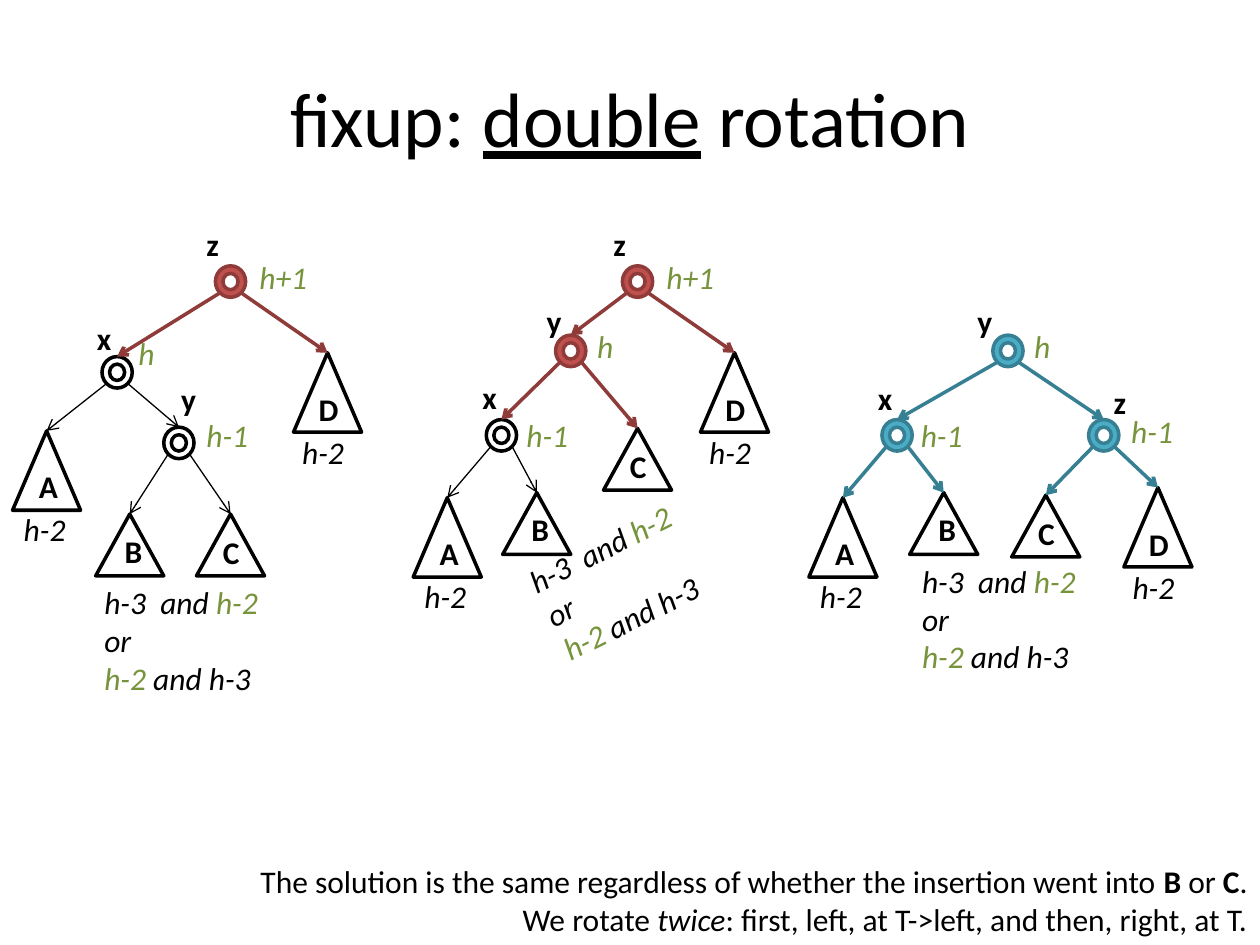
"""Build the slide that shows a double rotation as three binary trees."""
from dataclasses import dataclass

from lxml import etree
from pptx import Presentation
from pptx import util as u
from pptx.dml.color import RGBColor
from pptx.enum import shapes, text
from pptx.oxml.ns import qn


@dataclass(frozen=True)
class Theme:
    font: str = "Calibri"
    title: int = 44
    body: int = 18
    ink: str = "000000"
    height: str = "77933C"
    bold_line: float = 2
    thin_line: float = 0.75


THEME = Theme()
COLUMNS, ROWS = 100, 75
STYLES = {
    "red": ("C0504D", "8E3B39", THEME.bold_line),
    "teal": ("4BACC6", "377F92", THEME.bold_line),
    "plain": ("FFFFFF", "000000", THEME.thin_line),
}
NODE_SIZE = (2.4, 2.5)
LEAF_WIDTH = 5.4
LEAVES = {
    "A": dict(height=6.3, letter=(1.1, 2.4), below=(-0.1, 5.8)),
    "B": dict(height=4.9, letter=(1.3, 0.9), below=None),
    "C": dict(height=4.9, letter=(1.1, 1), below=None),
    "D": dict(height=6.3, letter=(1, 2.5), below=(-0.3, 5.9)),
}
LABEL_WIDTHS = {"h+1": 5.9, "h": 3.3, "h-1": 5.4, "h-2": 6, "x": 3.3, "y": 3.3,
                "z": 3, "A": 3.6, "B": 3.4, "C": 3.4, "D": 3.6}

# node: position, style, children, name offset, height, height offset
TREES = [
    dict(nodes={
            "z": ((17.1, 21.1), "red", "xD", (-1.7, -3.7), "h+1", (2.5, -1.1)),
            "x": ((8.1, 28.3), "plain", "Ay", (-1.4, -3.5), "h", (1.9, -2.3)),
            "y": ((13, 33.9), "plain", "BC", (0.4, -4.2), "h-1", (2.4, -1.4))},
         leaves={"A": (1, 34.2), "B": (7.6, 40.8), "C": (15.6, 40.8), "D": (23.3, 28)},
         cases=(7.3, 45.8), tilt=0),
    dict(nodes={
            "z": ((49.4, 21.1), "red", "yD", (-1.7, -3.7), "h+1", (2.5, -1.1)),
            "y": ((44.1, 26.6), "red", "xC", (-1.7, -3.1), "h", (2.3, -1.1)),
            "x": ((38.6, 33.3), "plain", "AB", (-1.3, -3.8), "h-1", (2.2, -0.8))},
         leaves={"A": (32.8, 39.5), "B": (39.9, 39.1), "C": (47.9, 34), "D": (55.6, 28)},
         cases=(41.9, 41.2), tilt=333.4),
    dict(nodes={
            "y": ((78.8, 26.6), "teal", "xz", (-2.2, -3.1), "h", (2.3, -1.1)),
            "x": ((70, 33.3), "teal", "AB", (-1.3, -3.7), "h-1", (2.1, -0.8)),
            "z": ((86.4, 33.3), "teal", "CD", (1, -3.4), "h-1", (2.4, -1.1))},
         leaves={"A": (64.2, 39.5), "B": (72.2, 39.1), "C": (80.3, 39.3), "D": (89.2, 38.7)},
         cases=(72.2, 44.1), tilt=0),
]
TITLE = [[("fixup: ", ""), ("double", "u"), (" rotation", "")]]
CASES = [
    [("h-3  and ", "i"), ("h-2", "ih")],
    [("or", "i")],
    [("h-2", "ih"), (" and h-3", "i")],
]
FOOTER = [
    [("The solution is the same regardless of whether the insertion went into ", ""),
     ("B", "b"), (" or ", ""), ("C", "b"), (".", "")],
    [("We rotate ", ""), ("twice", "i"),
     (": first, left, at T->left, and then, right, at T.", "")],
]

prs = Presentation()
prs.slide_width, prs.slide_height = u.Inches(10), u.Inches(7.5)
s = prs.slides.add_slide(prs.slide_layouts[6])


def grid(x, y):
    """Turn a column and a row into slide lengths."""
    return round(prs.slide_width * x / COLUMNS), round(prs.slide_height * y / ROWS)


def shift(at, offset):
    """Move a grid position by an offset."""
    return at[0] + offset[0], at[1] + offset[1]


def add_text(paragraphs, at, size, pt=THEME.body, align=text.PP_ALIGN.LEFT,
             anchor=text.MSO_ANCHOR.TOP, wrap=False, tilt=0):
    """Add a text box; run flags are b, i, u, and h for the height colour."""
    box = s.shapes.add_textbox(*grid(*at), *grid(*size))
    box.rotation = tilt
    tf = box.text_frame
    tf.word_wrap, tf.vertical_anchor = wrap, anchor
    for i, runs in enumerate(paragraphs):
        p = tf.add_paragraph() if i else tf.paragraphs[0]
        p.alignment = align
        for words, flags in runs:
            r = p.add_run()
            r.text = words
            r.font.name, r.font.size = THEME.font, u.Pt(pt)
            r.font.bold, r.font.italic, r.font.underline = (f in flags for f in "biu")
            r.font.color.rgb = RGBColor.from_string(THEME.height if "h" in flags else THEME.ink)


def add_label(words, at, flags):
    """Add a one-line label."""
    add_text([[(words, flags)]], at, (LABEL_WIDTHS[words], 4))


def add_outline(kind, at, size, style):
    """Add a filled preset shape with a bold outline."""
    fill, line, _ = STYLES[style]
    sp = s.shapes.add_shape(kind, *grid(*at), *grid(*size))
    sp.shadow.inherit = False
    sp.fill.solid()
    sp.fill.fore_color.rgb = RGBColor.from_string(fill)
    sp.line.color.rgb = RGBColor.from_string(line)
    sp.line.width = u.Pt(THEME.bold_line)
    return sp


def add_edge(start, child, style):
    """Draw an arrow from a grid position to the top of a child."""
    _, color, width = STYLES[style]
    edge = s.shapes.add_connector(shapes.MSO_CONNECTOR.STRAIGHT, *grid(*start), *grid(*start))
    edge.end_connect(child, 0)
    edge.line.color.rgb = RGBColor.from_string(color)
    edge.line.width = u.Pt(width)
    etree.SubElement(edge.line._get_or_add_ln(), qn("a:tailEnd"), type="arrow")
    etree.SubElement(edge._element.spPr, qn("a:effectLst"))


def add_tree(nodes, leaves, cases, tilt):
    """Draw one tree with its labels."""
    drawn = {}
    for name, (at, style, *_) in nodes.items():
        drawn[name] = add_outline(shapes.MSO_SHAPE.DONUT, at, NODE_SIZE, style)
    for name, at in leaves.items():
        leaf = LEAVES[name]
        drawn[name] = add_outline(shapes.MSO_SHAPE.ISOSCELES_TRIANGLE, at,
                                  (LEAF_WIDTH, leaf["height"]), "plain")
        add_label(name, shift(at, leaf["letter"]), "b")
        if leaf["below"]:
            add_label("h-2", shift(at, leaf["below"]), "i")
    for name, (at, style, children, name_offset, height, height_offset) in nodes.items():
        for child, corner in zip(children, ((0.35, 2.15), (2.05, 2.15))):
            add_edge(shift(at, corner), drawn[child], style)
        add_label(name, shift(at, name_offset), "b")
        add_label(height, shift(at, height_offset), "ih")
    add_text(CASES, cases, (14.3, 10.1), tilt=tilt)


for tree in TREES:
    add_tree(**tree)
add_text(TITLE, (5, 3), (90, 12.5), pt=THEME.title, align=text.PP_ALIGN.CENTER,
         anchor=text.MSO_ANCHOR.MIDDLE, wrap=True)
add_text(FOOTER, (0, 67.9), (100, 7.1), align=text.PP_ALIGN.RIGHT, wrap=True)
prs.save("out.pptx")
